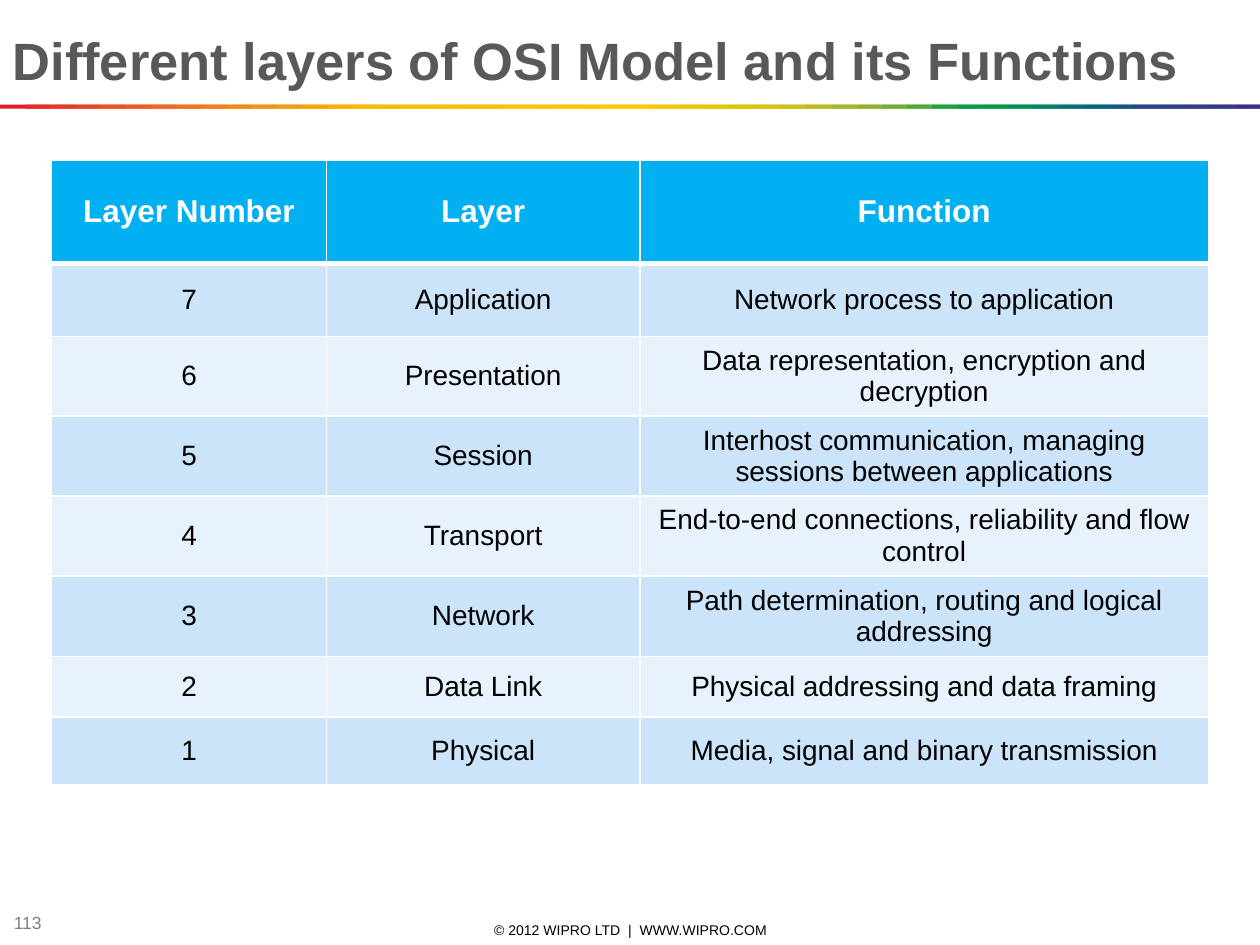
"""Build a slide with a table of the OSI layers and their functions."""
from lxml import etree
from pptx import Presentation, util as u
from pptx.dml.color import RGBColor
from pptx.enum import shapes, text
from pptx.oxml.ns import qn

TITLE = "Different layers of OSI Model and its Functions"
FOOT = "© 2012 WIPRO LTD  |  WWW.WIPRO.COM"
PAGE = "113"
HEAD = ("Layer Number", "Layer", "Function")
LAYERS = [
    ("7", "Application", "Network process to application"),
    ("6", "Presentation", "Data representation, encryption and decryption"),
    ("5", "Session", "Interhost communication, managing sessions between applications"),
    ("4", "Transport", "End-to-end connections, reliability and flow control"),
    ("3", "Network", "Path determination, routing and logical addressing"),
    ("2", "Data Link", "Physical addressing and data framing"),
    ("1", "Physical", "Media, signal and binary transmission"),
]
WIDTHS = (5.54, 6.32, 11.46)
HEIGHTS = (2.08, 1.47, 1.4, 1.47, 1.57, 1.63, 1.22, 1.37)
BANDS = ("CCE4F9", "E7F2FC")
RAINBOW = """
    E31E24 E42C24 E53A24 E74623 E85122 EA5D21 EC691F EE741D EF7E1A F18817
    F39314 F49C0F F6A607 F8B002 FBBA00 FBBB00 FBBD00 FCBF00 FCC000 FCC200
    FDC400 FDC600 FDC700 FEC900 FECB00 FBCB00 F3CA00 ECC800 E4C602 DCC50A
    D5C30E CCC117 B8BC21 A3B829 8CB230 71AD36 51A73B 1DA240 009D43 009846
    008C57 008068 007275 00637F 185384 2E4285 313E85 333B85 353885 393185
""".split()
WIDE, HIGH = 25.4, 19.05
LEFT, CENTER = text.PP_ALIGN.LEFT, text.PP_ALIGN.CENTER
MIDDLE = text.MSO_ANCHOR.MIDDLE


def paint(fill, shade):
    fill.solid()
    fill.fore_color.rgb = RGBColor.from_string(shade)


def write(frame, words, size, shade, align, bold=False):
    para = frame.paragraphs[0]
    para.alignment = align
    run = para.add_run()
    run.text = words
    font = run.font
    font.name, font.size, font.bold = "Arial", u.Pt(size), bold
    paint(font.fill, shade)


def place(shape, left, top, width, height):
    shape.left, shape.top = u.Cm(left), u.Cm(top)
    shape.width, shape.height = u.Cm(width), u.Cm(height)


def add_title(slide):
    title = slide.shapes.title
    place(title, 0, 0.41, WIDE, 1.55)
    title.text_frame.vertical_anchor = text.MSO_ANCHOR.BOTTOM
    write(title.text_frame, TITLE, 30, "595959", LEFT, True)


def add_label(slide, words, spot, size, shade, align):
    frame = slide.shapes.add_textbox(*map(u.Cm, spot)).text_frame
    frame.word_wrap = True
    frame.margin_top = frame.margin_bottom = 0
    frame.vertical_anchor = MIDDLE
    write(frame, words, size, shade, align)


def add_rainbow(slide):
    group = slide.shapes.add_group_shape()
    step = WIDE / len(RAINBOW)
    for i, shade in enumerate(RAINBOW):
        left = i * step
        width = min(2 * step, WIDE - left)
        strip = group.shapes.add_shape(
            shapes.MSO_SHAPE.RECTANGLE, u.Cm(left), u.Cm(2.11), u.Cm(width), u.Cm(0.08))
        strip.shadow.inherit = False
        strip.line.fill.background()
        paint(strip.fill, shade)


def edge(cell, row):
    props = cell._tc.get_or_add_tcPr()
    thick = {"lnB": row == 0, "lnT": row == 1}
    for i, side in enumerate(("lnL", "lnR", "lnT", "lnB")):
        line = etree.Element(qn("a:" + side), w=str(u.Pt(3 if thick.get(side) else 1)))
        fill = etree.SubElement(line, qn("a:solidFill"))
        etree.SubElement(fill, qn("a:srgbClr"), val="FFFFFF")
        props.insert(i, line)


def add_layers(slide):
    spot = map(u.Cm, (1.04, 3.23, sum(WIDTHS), sum(HEIGHTS)))
    table = slide.shapes.add_table(len(HEIGHTS), len(WIDTHS), *spot).table
    for col, width in zip(table.columns, WIDTHS):
        col.width = u.Cm(width)
    for r, words in enumerate([HEAD, *LAYERS]):
        table.rows[r].height = u.Cm(HEIGHTS[r])
        top = r == 0
        for c, word in enumerate(words):
            cell = table.cell(r, c)
            cell.vertical_anchor = MIDDLE
            paint(cell.fill, "00B0F0" if top else BANDS[(r - 1) % 2])
            edge(cell, r)
            write(cell.text_frame, word, 18 if top else 16,
                  "FFFFFF" if top else "000000", CENTER, top)


def main():
    deck = Presentation()
    deck.slide_width, deck.slide_height = u.Cm(WIDE), u.Cm(HIGH)
    slide = deck.slides.add_slide(deck.slide_layouts[5])
    add_label(slide, FOOT, (8.69, 18.54, 8.05, 0.41), 8, "000000", CENTER)
    add_label(slide, PAGE, (0.03, 18.34, 1.9, 0.53), 10, "808080", LEFT)
    add_rainbow(slide)
    add_title(slide)
    add_layers(slide)
    deck.save("out.pptx")


if __name__ == "__main__":
    main()
